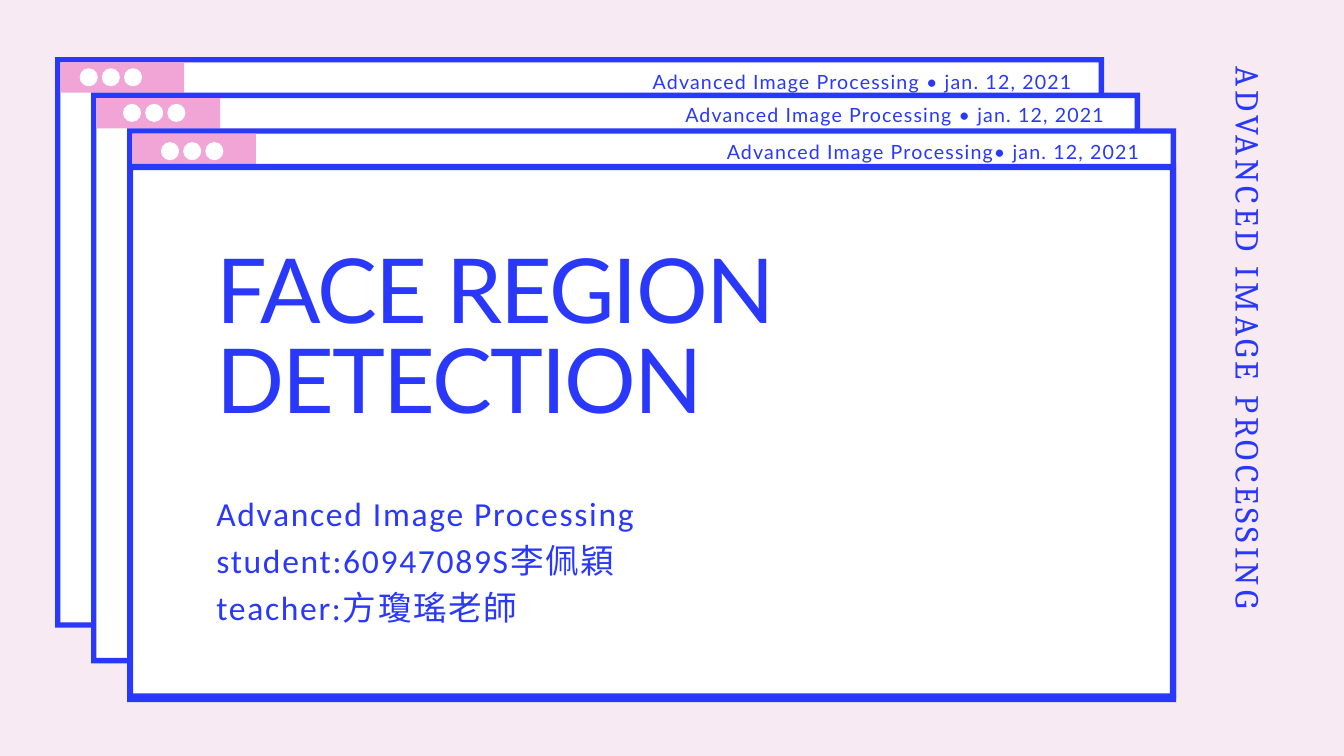
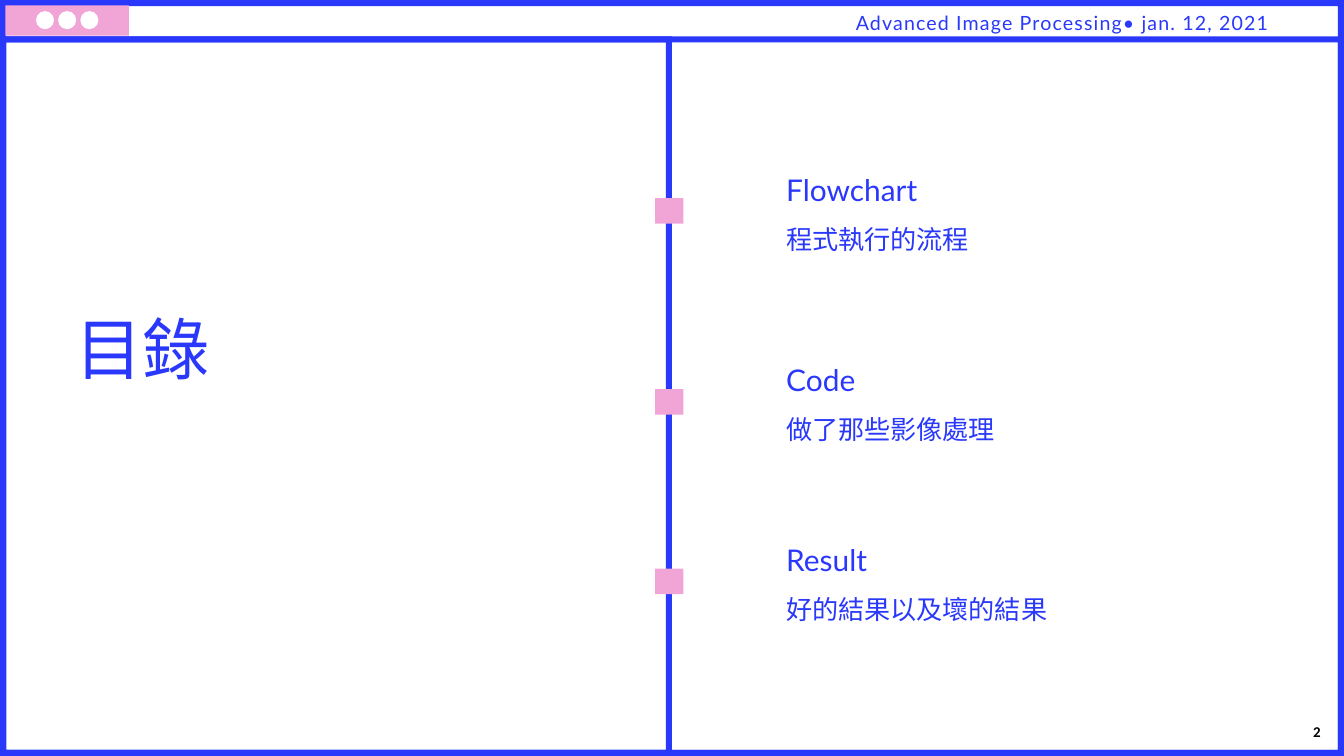
import collections

import pptx
import pptx.dml.color
import pptx.enum.shapes
import pptx.enum.text
import pptx.util

Inches = pptx.util.Inches
Pt = pptx.util.Pt
Shape = pptx.enum.shapes.MSO_SHAPE
Align = pptx.enum.text.PP_ALIGN
Anchor = pptx.enum.text.MSO_ANCHOR
AutoSize = pptx.enum.text.MSO_AUTO_SIZE

COLORS = {"blue": "2938FA", "pink": "F1A5D6", "blush": "F8EAF3",
          "white": "FFFFFF", "black": "000000"}

Box = collections.namedtuple("Box", "left top width height")
Style = collections.namedtuple(
    "Style", "font size leading spacing color bold align",
    defaults=(None, 0, "blue", False, Align.LEFT))

STYLES = {
    "bar": Style("Lato", 21, 29.4, 1.26, align=Align.RIGHT),
    "title": Style("Lato", 96, 96, -1.92),
    "credits": Style("Calibri", 36, 50.4, 1.8),
    "side": Style("Cambria", 36, 43.2, 4.32),
    "contents": Style("Arial", 72, 79.2),
    "topic": Style("Lato", 32, 44.8),
    "detail": Style("Arial", 28, 39.2),
    "number": Style("Calibri", 16, color="black", bold=True, align=Align.RIGHT),
}

SLIDE = Box(0, 0, 20, 11.25)
BORDER = 0.09
BAR_HEIGHT = 0.54
BAR_TEXT_WIDTH = 11.89
DOT_STEP = 0.33


def rgb(name):
    return pptx.dml.color.RGBColor.from_string(COLORS[name])


def inside(box, left, top, width, height):
    return Box(box.left + left, box.top + top, width, height)


def emu(box):
    return [Inches(length) for length in box]


def paint(shape, color):
    shape.shadow.inherit = False
    shape.fill.solid()
    shape.fill.fore_color.rgb = rgb(color)
    shape.line.fill.background()
    return shape


def add_block(slide, box, color, kind=Shape.RECTANGLE):
    return paint(slide.shapes.add_shape(kind, *emu(box)), color)


def add_frame(slide, box, border=BORDER):
    left, top, width, height = emu(box)
    right, bottom = left + width, top + height
    outer = [(left, top), (left, bottom), (right, bottom), (right, top)]
    edge = Inches(border)
    left, top, right, bottom = left + edge, top + edge, right - edge, bottom - edge
    inner = [(right, bottom), (left, bottom), (left, top), (right, top)]
    builder = slide.shapes.build_freeform(*outer[0])
    builder.add_line_segments(outer[1:], close=True)
    builder.move_to(*inner[0])
    builder.add_line_segments(inner[1:], close=True)
    paint(builder.convert_to_shape(), "blue")


def add_text(slide, box, lines, style, margins=False):
    holder = slide.shapes.add_textbox(*emu(box))
    frame = holder.text_frame
    frame.word_wrap = True
    if margins:
        frame.vertical_anchor = Anchor.MIDDLE
    else:
        frame.auto_size = AutoSize.SHAPE_TO_FIT_TEXT
        frame.margin_left = frame.margin_right = 0
        frame.margin_top = frame.margin_bottom = 0
    for index, line in enumerate(lines):
        paragraph = frame.add_paragraph() if index else frame.paragraphs[0]
        paragraph.alignment = style.align
        if style.leading:
            paragraph.line_spacing = Pt(style.leading)
        run = paragraph.add_run()
        run.text = line
        run.font.name = style.font
        run.font.size = Pt(style.size)
        run.font.bold = style.bold
        run.font.color.rgb = rgb(style.color)
        if style.spacing:
            run.font._element.set("spc", str(round(style.spacing * 100)))
    return holder


def add_title_bar(slide, window, dots, label, label_right, label_top):
    add_block(slide, inside(window, 0.08, 0.08, 1.84, 0.45), "pink")
    add_text(slide, inside(window, label_right - BAR_TEXT_WIDTH, label_top,
                           BAR_TEXT_WIDTH, 0.39), [label], STYLES["bar"])
    left, top = dots
    for index in range(3):
        dot_box = inside(window, left + index * DOT_STEP, top, 0.24, 0.24)
        dot = add_block(slide, dot_box, "white", Shape.OVAL)
        dot.line.color.rgb = rgb("white")
        dot.line.width = Pt(2)


def add_window(slide, window, dots, label, label_right, label_top):
    add_block(slide, inside(window, 0.04, 0.04, window.width - 0.08, window.height - 0.08),
              "white")
    add_frame(slide, window, 0.08)
    add_title_bar(slide, window, dots, label, label_right, label_top)


def add_window_body(slide, body):
    add_frame(slide, body)
    add_text(slide, inside(body, 1.33, 4.79, 11.83, 2.06),
             ["Advanced Image Processing", "student:60947089S李佩穎", "teacher:方瓊瑤老師"],
             STYLES["credits"])
    add_text(slide, inside(body, 1.33, 1.31, 12.95, 2.78),
             ["FACE REGION DETECTION"], STYLES["title"])


def add_topic(slide, box, topic, detail):
    add_text(slide, inside(box, 1.95, 0, 6.8, 0.59), [topic], STYLES["topic"])
    add_text(slide, inside(box, 1.95, 0.78, 6.8, 0.55), [detail], STYLES["detail"])
    add_block(slide, inside(box, 0, 0.49, 0.42, 0.38), "pink")


def new_slide(deck, background):
    slide = deck.slides.add_slide(deck.slide_layouts[6])
    slide.background.fill.solid()
    slide.background.fill.fore_color.rgb = rgb(background)
    return slide


def build_cover(deck):
    slide = new_slide(deck, "blush")
    spaced = "Advanced Image Processing • jan. 12, 2021"
    tight = "Advanced Image Processing• jan. 12, 2021"
    bars = [((0.38, 0.18), spaced, 15.13, 0.13),
            ((0.49, 0.18), spaced, 15.08, 0.09),
            ((0.52, 0.22), tight, 15.07, 0.12)]
    for index, bar in enumerate(bars):
        window = Box(0.82 + index * 0.535, 0.85 + index * 0.53, 15.61, 8.49)
        add_window(slide, window, *bar)
    add_window_body(slide, inside(window, 0, 0.53, 15.61, 8.01))
    side = add_text(slide, Box(13.9, 5.37, 9.36, 0.61),
                    ["ADVANCED IMAGE PROCESSING"], STYLES["side"])
    side.rotation = 90


def build_contents(deck):
    slide = new_slide(deck, "white")
    body_height = SLIDE.height - BAR_HEIGHT
    add_frame(slide, SLIDE)
    add_frame(slide, inside(SLIDE, 0, BAR_HEIGHT, SLIDE.width, body_height))
    add_frame(slide, inside(SLIDE, 0, BAR_HEIGHT, SLIDE.width / 2, body_height))
    add_text(slide, Box(1.12, 4.68, 7.58, 1.13), ["目錄"], STYLES["contents"])
    topics = [(2.46, "Flowchart", "程式執行的流程"),
              (5.3, "Code", "做了那些影像處理"),
              (7.97, "Result", "好的結果以及壞的結果")]
    for top, topic, detail in topics:
        add_topic(slide, Box(9.75, top, 8.75, 1.33), topic, detail)
    add_title_bar(slide, SLIDE, (0.55, 0.18),
                  "Advanced Image Processing• jan. 12, 2021", 18.88, 0.11)
    add_text(slide, Box(17.42, 10.69, 2.33, 0.4), ["2"], STYLES["number"], margins=True)


def main():
    deck = pptx.Presentation()
    deck.slide_width = Inches(SLIDE.width)
    deck.slide_height = Inches(SLIDE.height)
    build_cover(deck)
    build_contents(deck)
    deck.save("out.pptx")


if __name__ == "__main__":
    main()
